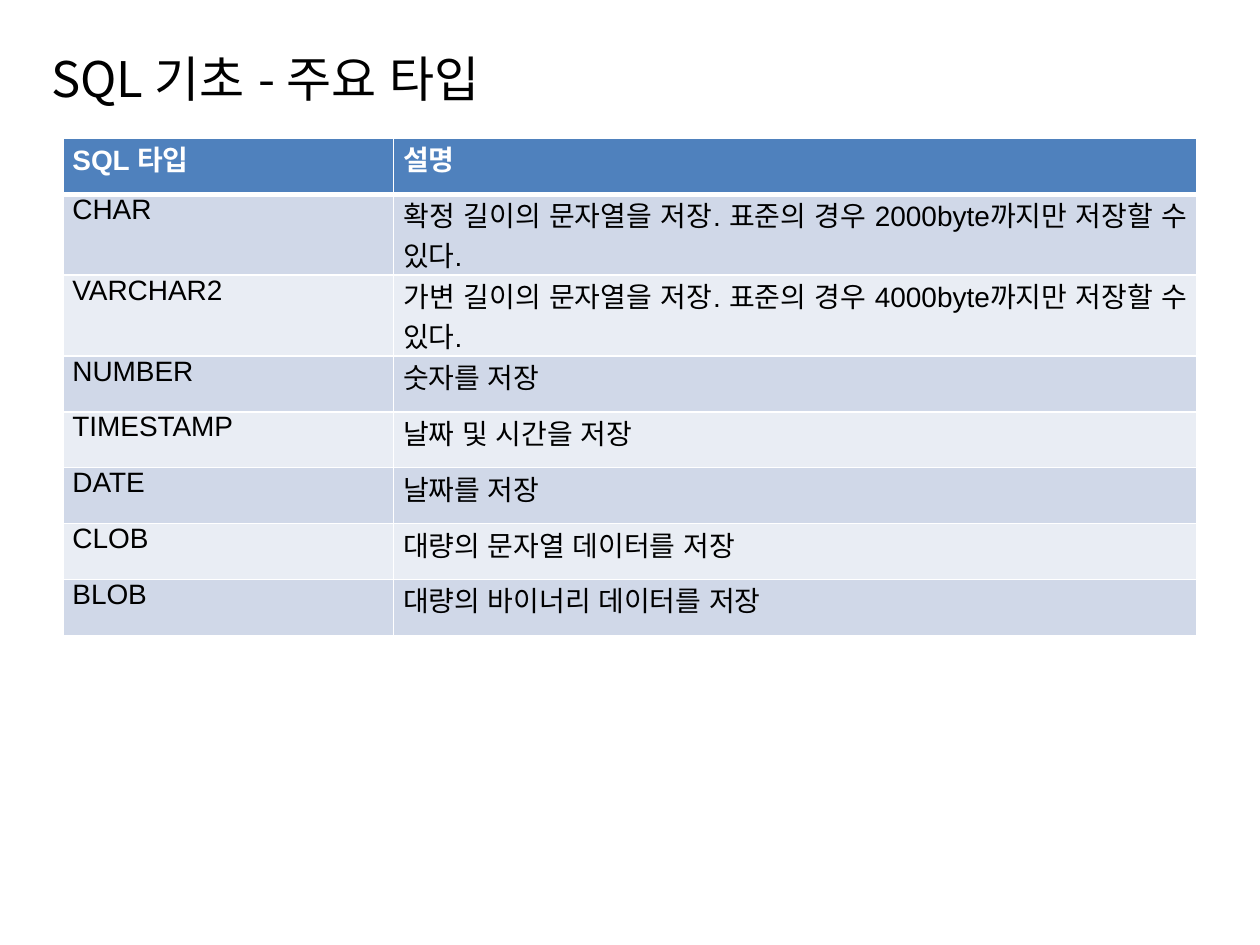
import lxml.etree
import pptx
import pptx.dml.color
import pptx.enum.lang
import pptx.enum.text
import pptx.oxml.ns
import pptx.util

Pt = pptx.util.Pt
COLORS = {"white": "FFFFFF", "black": "000000", "header": "4F81BD",
          "odd": "D0D8E8", "even": "E9EDF4"}
KOREAN_FONT = "Noto Sans CJK KR"
TYPES = [
    ("SQL 타입", "설명"),
    ("CHAR", "확정 길이의 문자열을 저장. 표준의 경우 2000byte까지만 저장할 수 있다."),
    ("VARCHAR2", "가변 길이의 문자열을 저장. 표준의 경우 4000byte까지만 저장할 수 있다."),
    ("NUMBER", "숫자를 저장"),
    ("TIMESTAMP", "날짜 및 시간을 저장"),
    ("DATE", "날짜를 저장"),
    ("CLOB", "대량의 문자열 데이터를 저장"),
    ("BLOB", "대량의 바이너리 데이터를 저장"),
]


class TypeSlide:
    """Holds the style and the current page of the SQL type overview."""

    def __init__(self, deck):
        self.page = deck.slides.add_slide(deck.slide_layouts[6])

    def rgb(self, name):
        return pptx.dml.color.RGBColor.from_string(COLORS[name])

    def child(self, parent, tag, **attributes):
        return lxml.etree.SubElement(parent, pptx.oxml.ns.qn(tag), **attributes)

    def style(self, para, size, color, font, bold=False):
        for span in para.runs:
            span.font.size = Pt(size)
            span.font.bold = bold
            span.font.name = font
            span.font.color.rgb = self.rgb(color)
            span.font.language_id = pptx.enum.lang.MSO_LANGUAGE_ID.KOREAN
            self.child(span.font._element, "a:ea", typeface=KOREAN_FONT)

    def title(self, text, left, top, width, height):
        box = self.page.shapes.add_textbox(Pt(left), Pt(top), Pt(width), Pt(height))
        frame = box.text_frame
        frame.word_wrap = True
        frame.vertical_anchor = pptx.enum.text.MSO_ANCHOR.MIDDLE
        frame.text = text
        self.style(frame.paragraphs[0], 28, "black", KOREAN_FONT)

    def borders(self, cell, header):
        properties = cell._tc.get_or_add_tcPr()
        for side in "LRTB":
            width = 3 if header and side == "B" else 1
            line = self.child(properties, f"a:ln{side}", w=str(Pt(width)))
            fill = self.child(line, "a:solidFill")
            self.child(fill, "a:srgbClr", val=COLORS["white"])

    def cell(self, cell, text, fill, header):
        cell.margin_left = cell.margin_right = Pt(5.4)
        cell.margin_top = cell.margin_bottom = 0
        self.borders(cell, header)
        cell.fill.solid()
        cell.fill.fore_color.rgb = self.rgb(fill)
        cell.text = text
        para = cell.text_frame.paragraphs[0]
        para.alignment = pptx.enum.text.PP_ALIGN.JUSTIFY
        self.style(para, 16, "white" if header else "black", "Arial", header)

    def table(self, rows, left, top, widths, heights):
        table = self.page.shapes.add_table(
            len(rows), len(widths), Pt(left), Pt(top),
            Pt(sum(widths)), Pt(sum(heights))).table
        for column, width in zip(table.columns, widths):
            column.width = Pt(width)
        for index, (texts, height) in enumerate(zip(rows, heights)):
            table.rows[index].height = Pt(height)
            header = index == 0
            fill = "header" if header else "odd" if index % 2 else "even"
            for column, text in enumerate(texts):
                self.cell(table.cell(index, column), text, fill, header)


def main():
    deck = pptx.Presentation()
    deck.slide_width, deck.slide_height = Pt(720), Pt(540)
    slide = TypeSlide(deck)
    slide.title("SQL 기초 - 주요 타입", 22.3, 21.6, 680.4, 46)
    heights = [46.2 if len(description) > 30 else 32 for _, description in TYPES]
    slide.table(TYPES, 36, 79, [189, 459], heights)
    deck.save("out.pptx")


if __name__ == "__main__":
    main()
